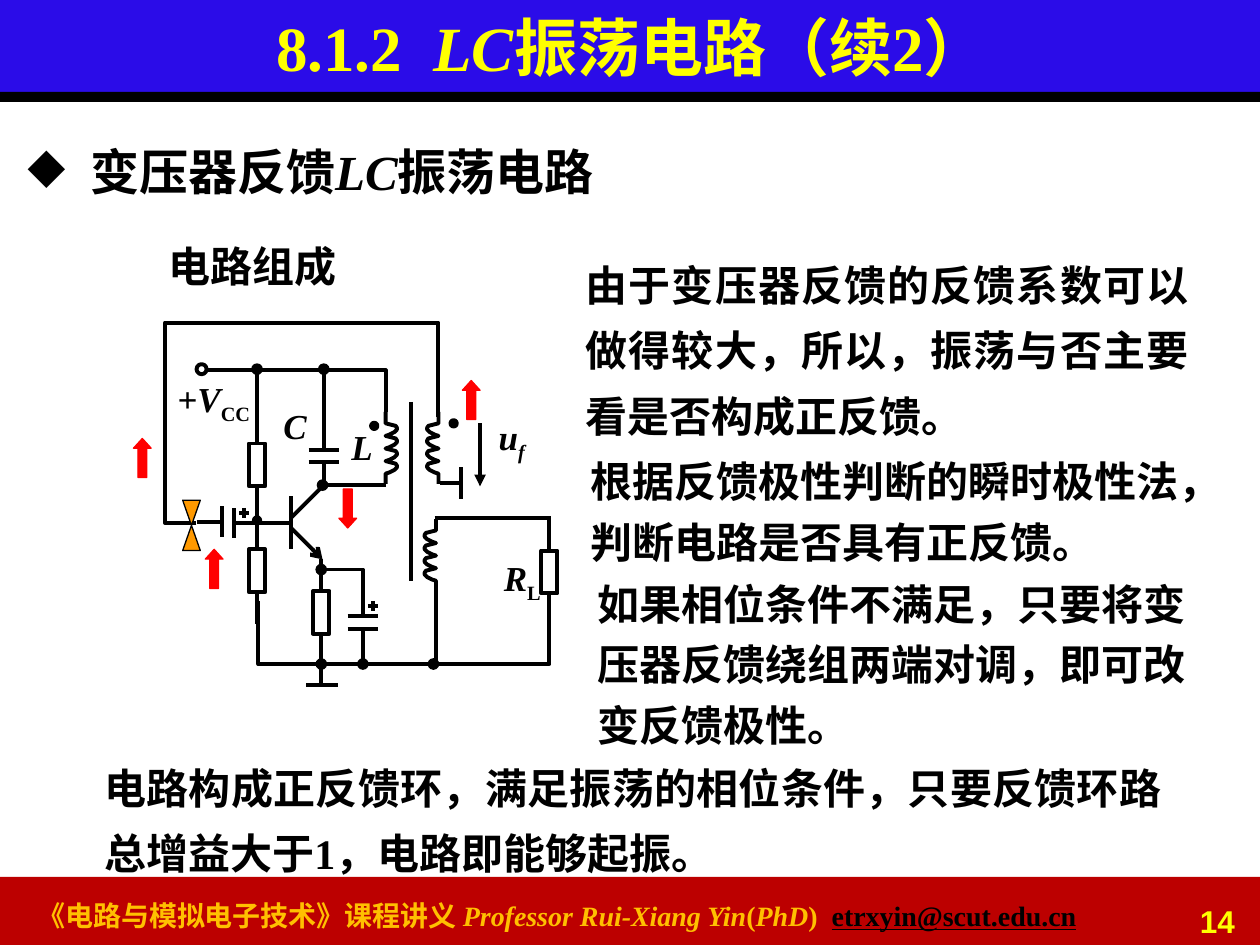
"""Build the slide on the transformer-feedback LC oscillator."""
from dataclasses import dataclass
from typing import NamedTuple, Optional

from lxml.etree import SubElement
from pptx import Presentation
from pptx.dml.color import RGBColor
from pptx.enum.shapes import MSO_CONNECTOR as Link, MSO_SHAPE as Preset
from pptx.enum.text import MSO_ANCHOR as Anchor, MSO_AUTO_SIZE as Fit, PP_ALIGN as Align
from pptx.oxml.ns import qn
from pptx.util import Inches, Pt


@dataclass(frozen=True)
class Theme:
    black: str = "000000"
    yellow: str = "FFFF00"
    gold: str = "FFC000"
    blue: str = "2B0CE8"
    crimson: str = "BC0000"
    red: str = "FF0000"
    orange: str = "FF9900"
    serif: str = "Times New Roman"
    sans: str = "Arial"
    title: int = 36
    heading: int = 28
    body: int = 24
    label: int = 20
    number: int = 18
    footer: int = 16
    wire: float = 2.25
    outline: float = 0.75


class Run(NamedTuple):
    text: str
    italic: bool = False
    sub: bool = False
    color: Optional[str] = None
    underline: bool = False


class Wire(NamedTuple):
    points: tuple
    tail: Optional[str] = None


class Part(NamedTuple):
    x: float
    y: float
    side: int = 1


class Label(NamedTuple):
    box: tuple
    runs: tuple


class Note(NamedTuple):
    box: tuple
    text: str
    spacing: float
    align: Align = Align.LEFT


THEME = Theme()
BUMP = ((0.04, 0.01), (0.08, 0.02), (0.09, 0.035), (0.09, 0.05),
        (0.07, 0.07), (0.03, 0.09), (0, 0.1))
RESISTORS = (Part(2.04, 3.52), Part(2.04, 4.36), Part(2.55, 4.69), Part(4.36, 4.37))
CAPACITORS = (Part(2.57, 3.57), Part(2.88, 4.89))
PLUSES = (Part(2.96, 4.81), Part(1.94, 4.07))
COILS = (Part(3.06, 3.36), Part(3.48, 3.36, -1), Part(3.46, 4.21, -1))
DOTS = (Part(2.04, 4.13), Part(2.97, 3.38), Part(3.6, 3.36))
POLARITIES = (Part(1.63, 4.36), Part(2.69, 3.88, -1), Part(3.67, 3.02), Part(1.06, 3.48))
WIRES = (
    Wire(((2.31, 3.94), (2.31, 4.36))),
    Wire(((2.31, 4.11), (2.56, 3.86))),
    Wire(((2.31, 4.19), (2.56, 4.44)), "arrow"),
    Wire(((1.86, 4.15), (2.31, 4.15))),
    Wire(((1.86, 4.27), (1.86, 4.03))),
    Wire(((1.76, 4.26), (1.76, 4.02))),
    Wire(((1.56, 4.14), (1.76, 4.14))),
    Wire(((2.43, 5.44), (2.68, 5.44))),
    Wire(((2.55, 5.44), (2.55, 5.27))),
    Wire(((3.06, 3.85), (2.56, 3.85)), "oval"),
    Wire(((3.26, 3.19), (3.26, 4.61))),
    Wire(((3.46, 4.69), (3.46, 5.27), (2.55, 5.27)), "oval"),
    Wire(((4.36, 4.86), (4.36, 5.27), (3.44, 5.27)), "oval"),
    Wire(((3.45, 4.11), (4.37, 4.11))),
    Wire(((3.66, 3.96), (3.66, 3.71))),
    Wire(((3.66, 3.83), (3.49, 3.83))),
    Wire(((3.06, 3.27), (3.06, 2.94), (1.65, 2.94))),
    Wire(((2.57, 3.51), (2.57, 2.93)), "oval"),
    Wire(((2.04, 3.43), (2.04, 2.93)), "oval"),
    Wire(((2.05, 4.77), (2.05, 5.27), (2.97, 5.27))),
    Wire(((1.56, 4.15), (1.31, 4.15), (1.31, 2.56), (3.48, 2.56), (3.48, 3.31))),
    Wire(((3.81, 3.36), (3.81, 3.86)), "triangle"),
    Wire(((2.88, 4.77), (2.88, 4.52), (2.55, 4.52)), "oval"),
    Wire(((2.88, 5.02), (2.88, 5.27)), "oval"),
)
LABELS = (
    Label((2.15, 3.16, 0.39, 0.43), (Run("C", True),)),
    Label((2.69, 3.33, 0.37, 0.43), (Run("L", True),)),
    Label((3.86, 3.25, 0.42, 0.43), (Run("u", True), Run("f", True, True))),
    Label((3.9, 4.37, 0.51, 0.43), (Run("R", True), Run("L", sub=True))),
    Label((1.31, 2.95, 0.81, 0.43), (Run("+V", True), Run("CC", sub=True))),
)
NOTES = (
    Note((1.24, 1.86, 1.54, 0.5), "电路组成", 1.0),
    Note((4.55, 1.89, 4.98, 1.66),
         "由于变压器反馈的反馈系数可以做得较大，所以，振荡与否主要看是否构成正反馈。", 1.3, Align.JUSTIFY),
    Note((4.59, 3.49, 4.99, 1.06), "根据反馈极性判断的瞬时极性法，判断电路是否具有正反馈。", 1.2),
    Note((4.64, 4.46, 4.99, 1.54),
         "如果相位条件不满足，只要将变压器反馈绕组两端对调，即可改变反馈极性。", 1.2),
    Note((0.73, 5.88, 8.59, 1.14),
         "电路构成正反馈环，满足振荡的相位条件，只要反馈环路总增益大于1，电路即能够起振。", 1.3, Align.JUSTIFY),
)


def write_text(holder, runs: tuple, *, size: float, color: str = THEME.black,
               font: str = THEME.serif, align: Align = Align.LEFT, spacing: float = 1.0,
               wrap: bool = True, fit: Fit = Fit.SHAPE_TO_FIT_TEXT,
               bullet: Optional[str] = None) -> None:
    """Write bold runs as the single paragraph of a shape."""
    frame = holder.text_frame
    frame.word_wrap, frame.auto_size = wrap, fit
    paragraph = frame.paragraphs[0]
    if bullet:
        props = paragraph._p.get_or_add_pPr()
        props.set("marL", str(Inches(0.5)))
        props.set("indent", str(-Inches(0.5)))
        SubElement(props, qn("a:buChar")).set("char", bullet)
    paragraph.alignment, paragraph.line_spacing = align, spacing
    for part in runs:
        run = paragraph.add_run()
        run.text = part.text
        face = run.font
        face.name, face.size, face.bold = font, Pt(size), True
        face.italic, face.underline = part.italic, part.underline
        face.color.rgb = RGBColor.from_string(part.color or color)
        if part.sub:
            run._r.get_or_add_rPr().set("baseline", "-25000")


def add_text(shapes, box: tuple, runs: tuple, **style) -> None:
    """Add a text box holding the runs."""
    write_text(shapes.add_textbox(*map(Inches, box)), runs, **style)


def add_block(shapes, preset: Preset, box: tuple, fill: Optional[str] = None,
              line: Optional[str] = THEME.black, width: float = THEME.wire):
    """Add a preset shape; None leaves out its fill or line."""
    block = shapes.add_shape(preset, *map(Inches, box))
    block.shadow.inherit = False
    for paint, color in ((block.fill, fill), (block.line.fill, line)):
        if color:
            paint.solid()
            paint.fore_color.rgb = RGBColor.from_string(color)
        else:
            paint.background()
    if line:
        block.line.width = Pt(width)
    return block


def add_wire(shapes, wire: Wire) -> None:
    """Draw a straight wire as a connector and a bent one as an outline."""
    corners = [(Inches(x), Inches(y)) for x, y in wire.points]
    if len(corners) == 2:
        path = shapes.add_connector(Link.STRAIGHT, *corners[0], *corners[1])
        SubElement(path.element.spPr, qn("a:effectLst"))
    else:
        builder = shapes.build_freeform(*corners[0])
        builder.add_line_segments(corners[1:], close=False)
        path = builder.convert_to_shape()
        path.fill.background()
        path.shadow.inherit = False
    path.line.color.rgb = RGBColor.from_string(THEME.black)
    path.line.width = Pt(THEME.wire)
    if wire.tail:
        SubElement(path.line._get_or_add_ln(), qn("a:tailEnd")).set("type", wire.tail)


def add_resistor(shapes, part: Part) -> None:
    """Draw a vertical resistor with its two leads."""
    x, y = part.x, part.y
    add_block(shapes, Preset.RECTANGLE, (x - 0.065, y, 0.13, 0.34))
    for start in (y - 0.25, y + 0.34):
        add_wire(shapes, Wire(((x, start), (x, start + 0.25))))


def add_capacitor(shapes, part: Part) -> None:
    """Draw two level plates with their leads."""
    for plate, lead in ((part.y, -0.2), (part.y + 0.1, 0.2)):
        add_wire(shapes, Wire(((part.x - 0.12, plate), (part.x + 0.12, plate))))
        add_wire(shapes, Wire(((part.x, plate), (part.x, plate + lead))))


def add_plus(shapes, part: Part) -> None:
    """Draw the plus sign of a polarised capacitor."""
    for dx, dy in ((0.04, 0), (0, 0.04)):
        add_wire(shapes, Wire(((part.x - dx, part.y - dy), (part.x + dx, part.y + dy))))


def add_coil(shapes, part: Part) -> None:
    """Draw a winding of four bumps between two short leads."""
    x, y = part.x, part.y
    bumps = [(x + part.side * dx, y + turn * 0.1 + dy) for turn in range(4) for dx, dy in BUMP]
    add_wire(shapes, Wire(((x, y - 0.09), (x, y), *bumps, (x, y + 0.48))))


def add_polarity(shapes, part: Part) -> None:
    """Draw a red arrow, up or down, for the momentary polarity."""
    arrow = add_block(shapes, Preset.UP_ARROW, (part.x, part.y, 0.14, 0.31),
                      THEME.red, THEME.red, THEME.outline)
    arrow.adjustments[0], arrow.adjustments[1] = 0.5, 0.553
    arrow.rotation = 0 if part.side > 0 else 180


def main() -> None:
    """Assemble and save the slide."""
    deck = Presentation()
    deck.slide_width, deck.slide_height = Inches(10), Inches(7.5)
    slide = deck.slides.add_slide(deck.slide_layouts[5])
    shapes, title = slide.shapes, slide.shapes.title
    for box, color in (((-0.02, 6.96, 10.04, 0.56), THEME.crimson),
                       ((-0.02, 0, 10.04, 0.76), THEME.blue),
                       ((-0.01, 0.73, 10.02, 0.08), THEME.black)):
        add_block(shapes, Preset.RECTANGLE, box, color, None)
    title.element.getparent().append(title.element)
    title.left, title.top, title.width, title.height = map(Inches, (0, 0, 10.02, 0.73))
    title.text_frame.vertical_anchor = Anchor.MIDDLE
    write_text(title, (Run("8.1.2  "), Run("LC", True), Run("振荡电路（续2）")),
               size=THEME.title, color=THEME.yellow, align=Align.CENTER, fit=Fit.NONE)
    add_text(shapes, (0.2, 7.08, 8.82, 0.37),
             (Run("《电路与模拟电子技术》课程讲义 "), Run("Professor Rui-Xiang Yin", True), Run("("),
              Run("PhD", True), Run(")  "),
              Run("etrxyin@scut.edu.cn", color=THEME.black, underline=True)),
             size=THEME.footer, color=THEME.gold)
    add_text(shapes, (8.96, 7.11, 0.94, 0.31), (Run("14"),), size=THEME.number,
             color=THEME.yellow, font=THEME.sans, align=Align.RIGHT, fit=Fit.NONE)
    add_text(shapes, (0.12, 0.84, 9.72, 6.06),
             (Run("变压器反馈"), Run("LC", True), Run("振荡电路")),
             size=THEME.heading, spacing=1.5, bullet="◆", fit=Fit.NONE)
    for draw, parts in ((add_resistor, RESISTORS), (add_capacitor, CAPACITORS),
                        (add_plus, PLUSES), (add_coil, COILS), (add_wire, WIRES),
                        (add_polarity, POLARITIES)):
        for part in parts:
            draw(shapes, part)
    for dot in DOTS:
        add_block(shapes, Preset.OVAL, (dot.x - 0.025, dot.y - 0.025, 0.05, 0.05), THEME.black)
    add_block(shapes, Preset.OVAL, (1.56, 2.89, 0.08, 0.08))
    add_block(shapes, Preset.FLOWCHART_COLLATE, (1.45, 3.97, 0.14, 0.4),
              THEME.orange, width=THEME.outline)
    for label in LABELS:
        add_text(shapes, label.box, label.runs, size=THEME.label, wrap=False)
    for note in NOTES:
        add_text(shapes, note.box, (Run(note.text),), size=THEME.body,
                 spacing=note.spacing, align=note.align)
    deck.save("out.pptx")


if __name__ == "__main__":
    main()
